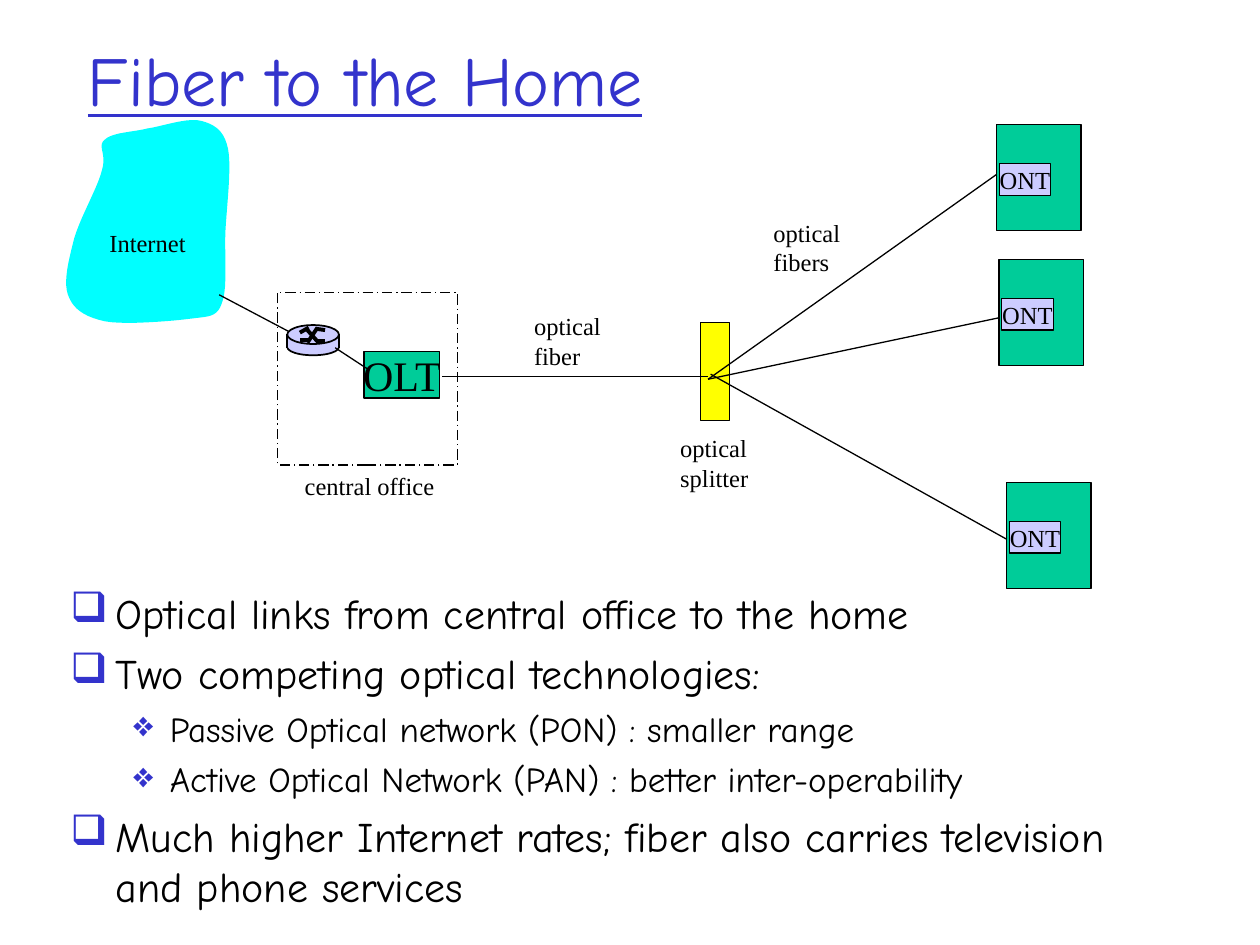
from copy import deepcopy
from lxml.etree import SubElement
from pptx import Presentation
from pptx.dml.color import RGBColor
from pptx.enum.dml import MSO_LINE
from pptx.enum.shapes import MSO_CONNECTOR, MSO_SHAPE
from pptx.enum.text import MSO_ANCHOR, MSO_AUTO_SIZE, PP_ALIGN
from pptx.oxml.ns import qn
from pptx.util import Inches, Pt

COLORS = {
    "black": "000000",
    "title": "3333CC",
    "green": "00CC99",
    "lavender": "CCCCFF",
    "yellow": "FFFF00",
    "cyan": "00FFFF",
}
DIAGRAM_FONT = "Times New Roman"
SLIDE_FONT = "Comic Neue"

CLOUD_START = (1.81, 1.18)
CLOUD_CURVES = [
    ((1.78, 1.04), (1.71, 0.99), (1.6, 0.96)),
    ((1.49, 0.93), (1.3, 1), (1.17, 1.02)),
    ((1.05, 1.05), (0.89, 1.05), (0.83, 1.11)),
    ((0.77, 1.16), (0.85, 1.22), (0.81, 1.35)),
    ((0.78, 1.48), (0.64, 1.72), (0.59, 1.89)),
    ((0.55, 2.05), (0.5, 2.23), (0.54, 2.34)),
    ((0.58, 2.45), (0.66, 2.51), (0.83, 2.55)),
    ((0.99, 2.58), (1.35, 2.55), (1.51, 2.53)),
    ((1.66, 2.51), (1.72, 2.52), (1.76, 2.41)),
    ((1.81, 2.29), (1.78, 2.03), (1.79, 1.83)),
    ((1.8, 1.63), (1.84, 1.33), (1.81, 1.18)),
]
CURVE_STEPS = 10

BULLET_LEVELS = [
    {"char": "❑", "left": 0.36, "hanging": 0.36, "size": 24, "before": 6},
    {"char": "❖", "left": 0.79, "hanging": 0.29, "size": 20, "before": 5},
]
BULLETS = [
    (0, "Optical links from central office to the home"),
    (0, "Two competing optical technologies:"),
    (1, "Passive Optical network (PON) : smaller range"),
    (1, "Active Optical Network (PAN) : better inter-operability"),
    (0, "Much higher Internet rates; fiber also carries television and phone services"),
]


def color(name):
    return RGBColor.from_string(COLORS[name])


def write_text(paragraph, text, size=14, font=DIAGRAM_FONT, fill="black",
               underline=None, align=PP_ALIGN.LEFT):
    paragraph.text = text
    paragraph.alignment = align
    for run in paragraph.runs:
        run.font.size = Pt(size)
        run.font.name = font
        run.font.color.rgb = color(fill)
        run.font.underline = underline
    for line_break in paragraph._p.findall(qn("a:br")):
        line_break.append(deepcopy(paragraph.runs[0].font._element))


def style_shape(shape, fill=None, line_width=0.75):
    shape.shadow.inherit = False
    if fill:
        shape.fill.solid()
        shape.fill.fore_color.rgb = color(fill)
    else:
        shape.fill.background()
    if line_width:
        shape.line.color.rgb = color("black")
        shape.line.width = Pt(line_width)
    else:
        shape.line.fill.background()


def add_block(slide, box, fill=None, line_width=0.75, preset=MSO_SHAPE.RECTANGLE,
              text=None, size=14):
    shape = slide.shapes.add_shape(preset, *map(Inches, box))
    style_shape(shape, fill, line_width)
    if text:
        frame = shape.text_frame
        frame.word_wrap = False
        frame.vertical_anchor = MSO_ANCHOR.MIDDLE
        write_text(frame.paragraphs[0], text, size=size, align=PP_ALIGN.CENTER)
    return shape


def add_line(slide, start, end, width=0.75):
    line = slide.shapes.add_connector(MSO_CONNECTOR.STRAIGHT, *map(Inches, start + end))
    line.line.color.rgb = color("black")
    line.line.width = Pt(width)
    SubElement(line._element.spPr, qn("a:effectLst"))


def add_label(slide, box, *lines):
    frame = slide.shapes.add_textbox(*map(Inches, box)).text_frame
    frame.word_wrap = False
    frame.auto_size = MSO_AUTO_SIZE.SHAPE_TO_FIT_TEXT
    for index, text in enumerate(lines):
        paragraph = frame.add_paragraph() if index else frame.paragraphs[0]
        write_text(paragraph, text)


def add_home(slide, left, top):
    add_block(slide, (left, top, 0.67, 0.84), "green")
    add_block(slide, (left + 0.02, top + 0.31, 0.41, 0.25), "lavender", text="ONT")


def add_router(slide):
    left, right = 2.28, 2.69
    add_block(slide, (left, 2.69, 0.41, 0.13), "lavender", 1, MSO_SHAPE.OVAL)
    add_block(slide, (left, 2.68, 0.41, 0.08), "lavender", None)
    for side in (left, right):
        add_line(slide, (side, 2.65), (side, 2.76), 1)
    add_block(slide, (left, 2.58, 0.41, 0.15), "lavender", 1, MSO_SHAPE.OVAL)
    cross = [
        [(2.38, 2.64), (2.45, 2.6)], [(2.51, 2.71), (2.58, 2.71)],
        [(2.44, 2.62), (2.52, 2.71)], [(2.38, 2.7), (2.45, 2.7)],
        [(2.51, 2.61), (2.58, 2.62)], [(2.44, 2.72), (2.52, 2.6)],
    ]
    for start, end in cross:
        add_line(slide, start, end, 2.25)


def curve_points(start, first, second, end):
    for step in range(1, CURVE_STEPS + 1):
        t = step / CURVE_STEPS
        u = 1 - t
        weights = (u ** 3, 3 * u * u * t, 3 * u * t * t, t ** 3)
        yield tuple(
            Inches(sum(weight * value for weight, value in zip(weights, axis)))
            for axis in zip(start, first, second, end)
        )


def add_cloud(slide):
    points, start = [], CLOUD_START
    for curve in CLOUD_CURVES:
        points.extend(curve_points(start, *curve))
        start = curve[-1]
    builder = slide.shapes.build_freeform(*map(Inches, CLOUD_START))
    builder.add_line_segments(points, close=True)
    style_shape(builder.convert_to_shape(), "cyan", None)
    add_line(slide, (1.74, 2.34), (2.29, 2.63))
    add_label(slide, (0.77, 1.76, 0.86, 0.34), "Internet")


def add_network(slide):
    add_block(slide, (5.56, 2.56, 0.23, 0.78), "yellow")
    add_line(slide, (3.51, 2.99), (5.62, 2.99))
    add_line(slide, (5.62, 3.01), (7.93, 1.37))
    add_line(slide, (5.62, 3.01), (7.94, 2.52))
    add_line(slide, (5.64, 2.97), (7.99, 4.28))
    office = add_block(slide, (2.2, 2.32, 1.43, 1.37))
    office.line.dash_style = MSO_LINE.LONG_DASH_DOT
    add_block(slide, (2.89, 2.79, 0.6, 0.37), "green", text="OLT", size=24)
    add_label(slide, (2.32, 3.69, 1.23, 0.34), "central office")
    add_label(slide, (5.3, 3.39, 0.74, 0.57), "optical", "splitter")
    add_label(slide, (4.14, 2.42, 0.73, 0.57), "optical\vfiber")
    add_label(slide, (6.04, 1.68, 0.73, 0.57), "optical\vfibers")
    for left, top in ((7.91, 0.99), (7.93, 2.06), (7.99, 3.83)):
        add_home(slide, left, top)
    add_router(slide)
    add_line(slide, (2.66, 2.76), (2.92, 2.93))


def add_title(slide, text):
    frame = slide.shapes.add_textbox(*map(Inches, (0.6, 0, 8.5, 1.25))).text_frame
    frame.word_wrap = True
    frame.vertical_anchor = MSO_ANCHOR.MIDDLE
    write_text(frame.paragraphs[0], text, size=40, font=SLIDE_FONT, fill="title", underline=True)


def add_bullets(slide):
    frame = slide.shapes.add_textbox(*map(Inches, (0.46, 4.61, 8.5, 2.67))).text_frame
    frame.word_wrap = True
    for index, (level, text) in enumerate(BULLETS):
        style = BULLET_LEVELS[level]
        paragraph = frame.add_paragraph() if index else frame.paragraphs[0]
        paragraph.level = level
        properties = paragraph._p.get_or_add_pPr()
        properties.set("marL", str(Inches(style["left"])))
        properties.set("indent", str(-Inches(style["hanging"])))
        bullet_color = SubElement(properties, qn("a:buClr"))
        SubElement(bullet_color, qn("a:srgbClr"), val=COLORS["title"])
        SubElement(properties, qn("a:buChar"), char=style["char"])
        if index:
            paragraph.space_before = Pt(style["before"])
        write_text(paragraph, text, size=style["size"], font=SLIDE_FONT)


def main():
    presentation = Presentation()
    presentation.slide_width, presentation.slide_height = Inches(10), Inches(7.5)
    slide = presentation.slides.add_slide(presentation.slide_layouts[6])
    add_network(slide)
    add_cloud(slide)
    add_title(slide, "Fiber to the Home")
    add_bullets(slide)
    presentation.save("out.pptx")


if __name__ == "__main__":
    main()
